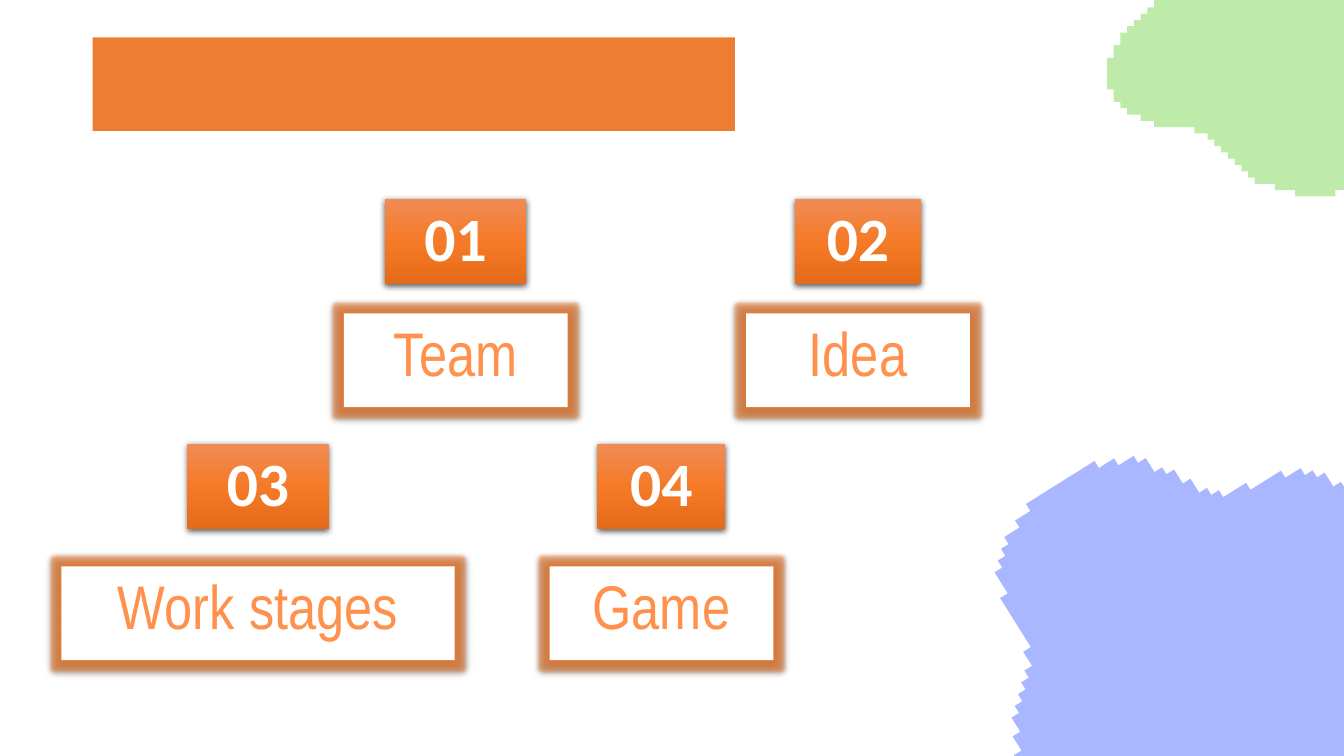
import copy

import pptx
import pptx.dml.color
import pptx.enum.shapes
import pptx.enum.text
import pptx.oxml
import pptx.oxml.ns
import pptx.util
from pptx.dml.color import RGBColor
from pptx.util import Inches

ORANGE = RGBColor(0xED, 0x7D, 0x31)
TILE_TOP = RGBColor(0xF0, 0x8C, 0x56)
TILE_MIDDLE = RGBColor(0xF5, 0x7A, 0x27)
TILE_BOTTOM = RGBColor(0xE4, 0x6B, 0x19)
LABEL_ORANGE = RGBColor(0xFF, 0x91, 0x4D)
WHITE = RGBColor(0xFF, 0xFF, 0xFF)
BLACK = RGBColor(0x00, 0x00, 0x00)
GREEN = RGBColor(0x7E, 0xD9, 0x57)
BLUE = RGBColor(0x52, 0x71, 0xFF)

HEADING_BAR = (0.92, 0.37, 6.37, 0.93)
TILE_HEIGHT, LABEL_HEIGHT = 0.85, 0.93

ROWS = [
    {
        "tile_top": 1.97,
        "label_top": 3.11,
        "sections": [
            {"number": "01", "topic": "Team", "center": 4.52, "tile": 1.4, "label": 2.22},
            {"number": "02", "topic": "Idea", "center": 8.51, "tile": 1.25, "label": 2.22},
        ],
    },
    {
        "tile_top": 4.4,
        "label_top": 5.62,
        "sections": [
            {"number": "03", "topic": "Work stages", "center": 2.56, "tile": 1.4, "label": 3.9},
            {"number": "04", "topic": "Game", "center": 6.56, "tile": 1.27, "label": 2.22},
        ],
    },
]

BLOBS = [
    {"place": (10.98, -0.99, 3.13, 2.94), "rotation": 0, "color": GREEN},
    {"place": (9.67, 4.35, 4.19, 3.85), "rotation": 327.9, "color": BLUE},
]
BLOB_START = (16, 0)
UPPER_RIGHT_STAIRS = [
    (9, 1), (2, 1), (2, 1), (1, 2), (1, 1), (1, 2), (1, 2), (1, 1),
    (1, 1), (3, 1), (4, 1), (2, 1), (1, 1), (1, 2), (1, 7),
]
LOWER_RIGHT_STAIRS = [
    (-1, 2), (-1, 1), (-1, 1), (-1, 2), (-1, 6), (-1, 3), (-1, 2),
    *[(-1, 1)] * 4, (-2, 1),
]
LOWER_LEFT_STAIRS = [
    (-6, -1), (-3, -1), (-3, -1), *[(-1, -1)] * 7, (-2, -1),
    (-6, -1), (-2, -1), (-2, -1), (-1, -1), (-1, -2), (-1, -5),
]
UPPER_LEFT_STAIRS = [
    (1, -2), (1, -2), *[(1, -1)] * 4, (1, -2), (1, -7), (1, -3),
    *[(1, -1)] * 3, (2, -1), (2, -1),
]
BLOB_STAIRS = (
    UPPER_RIGHT_STAIRS + LOWER_RIGHT_STAIRS + LOWER_LEFT_STAIRS + UPPER_LEFT_STAIRS
)


def effect(tag, color, opacity, attributes):
    """Return the XML of one coloured, half-clear effect."""
    return (
        f'<a:{tag} {attributes}><a:srgbClr val="{color}">'
        f'<a:alpha val="{opacity * 1000}"/></a:srgbClr></a:{tag}>'
    )


SHADOW = effect(
    "outerShdw", BLACK, 63,
    f'blurRad="{pptx.util.Pt(4.5)}" dist="{pptx.util.Pt(1.5)}" dir="5400000" '
    'algn="ctr" rotWithShape="0"',
)
GLOW = effect("glow", ORANGE, 60, f'rad="{Inches(0.07)}"')


def add_box(slide, place, fill=None, effects=""):
    """Add a borderless rectangle with the given effects."""
    box = slide.shapes.add_shape(
        pptx.enum.shapes.MSO_SHAPE.RECTANGLE, *map(Inches, place)
    )
    box.shadow.inherit = False
    box.line.fill.background()
    if fill is not None:
        box.fill.solid()
        box.fill.fore_color.rgb = fill
    effect_list = box._element.spPr.find(pptx.oxml.ns.qn("a:effectLst"))
    filled_list = pptx.oxml.parse_xml(
        f'<a:effectLst {pptx.oxml.ns.nsdecls("a")}>{effects}</a:effectLst>'
    )
    effect_list.extend(list(filled_list))
    return box


def write(box, text, *, font, color, bold=False, size=44):
    """Write one centred line at the top of a box."""
    frame = box.text_frame
    frame.word_wrap = True
    frame.vertical_anchor = pptx.enum.text.MSO_ANCHOR.TOP
    frame.margin_left = frame.margin_right = Inches(0.1)
    frame.margin_top = frame.margin_bottom = Inches(0.1)
    line = frame.paragraphs[0]
    line.alignment = pptx.enum.text.PP_ALIGN.CENTER
    line.line_spacing = 0.9
    run = line.add_run()
    run.text = text
    run.font.name = font
    run.font.size = pptx.util.Pt(size)
    run.font.bold = bold
    run.font.color.rgb = color


def shade_tile(tile):
    """Fill a number tile with a three-stop gradient, top to bottom."""
    tile.fill.gradient()
    tile.fill.gradient_angle = 270
    stop_list = tile._element.spPr.find(".//" + pptx.oxml.ns.qn("a:gsLst"))
    stop_list.append(copy.deepcopy(stop_list[0]))
    shades = [TILE_TOP, TILE_MIDDLE, TILE_BOTTOM]
    for index, (stop, shade) in enumerate(zip(tile.fill.gradient_stops, shades)):
        stop.position = index / 2
        stop.color.rgb = shade


def add_section(slide, row, section):
    """Add a number tile with its topic label centred below it."""
    def centered(width, top, height):
        return section["center"] - width / 2, top, width, height

    tile_place = centered(section["tile"], row["tile_top"], TILE_HEIGHT)
    tile = add_box(slide, tile_place, effects=SHADOW)
    shade_tile(tile)
    write(tile, section["number"], font="Calibri", color=WHITE, bold=True)

    label_place = centered(section["label"], row["label_top"], LABEL_HEIGHT)
    label = add_box(slide, label_place, WHITE, GLOW + SHADOW)
    write(label, section["topic"], font="Arial Narrow", color=LABEL_ORANGE)


def stair_corners(start, stairs):
    """Walk the stairs in grid cells, each one across and then up or down."""
    column, row = start
    corners = []
    for across, down in stairs:
        column += across
        corners.append((column, row))
        row += down
        corners.append((column, row))
    return corners


def add_blob(slide, place, rotation, color):
    """Stretch the stair-edged blob over a place and turn it."""
    builder = slide.shapes.build_freeform(*BLOB_START, scale=Inches(0.1))
    builder.add_line_segments(stair_corners(BLOB_START, BLOB_STAIRS), close=True)
    blob = builder.convert_to_shape()
    blob.left, blob.top, blob.width, blob.height = map(Inches, place)
    blob.rotation = rotation
    blob.shadow.inherit = False
    blob.line.fill.background()
    blob.fill.solid()
    blob.fill.fore_color.rgb = color
    tint = blob._element.spPr.find(".//" + pptx.oxml.ns.qn("a:srgbClr"))
    tint.append(pptx.oxml.parse_xml(
        f'<a:alpha {pptx.oxml.ns.nsdecls("a")} val="50000"/>'
    ))


def main():
    """Build the contents slide."""
    deck = pptx.Presentation()
    deck.slide_width, deck.slide_height = Inches(13.33), Inches(7.5)
    slide = deck.slides.add_slide(deck.slide_layouts[6])
    add_box(slide, HEADING_BAR, ORANGE)
    for row in ROWS:
        for section in row["sections"]:
            add_section(slide, row, section)
    for blob in BLOBS:
        add_blob(slide, **blob)
    deck.save("out.pptx")


if __name__ == "__main__":
    main()
